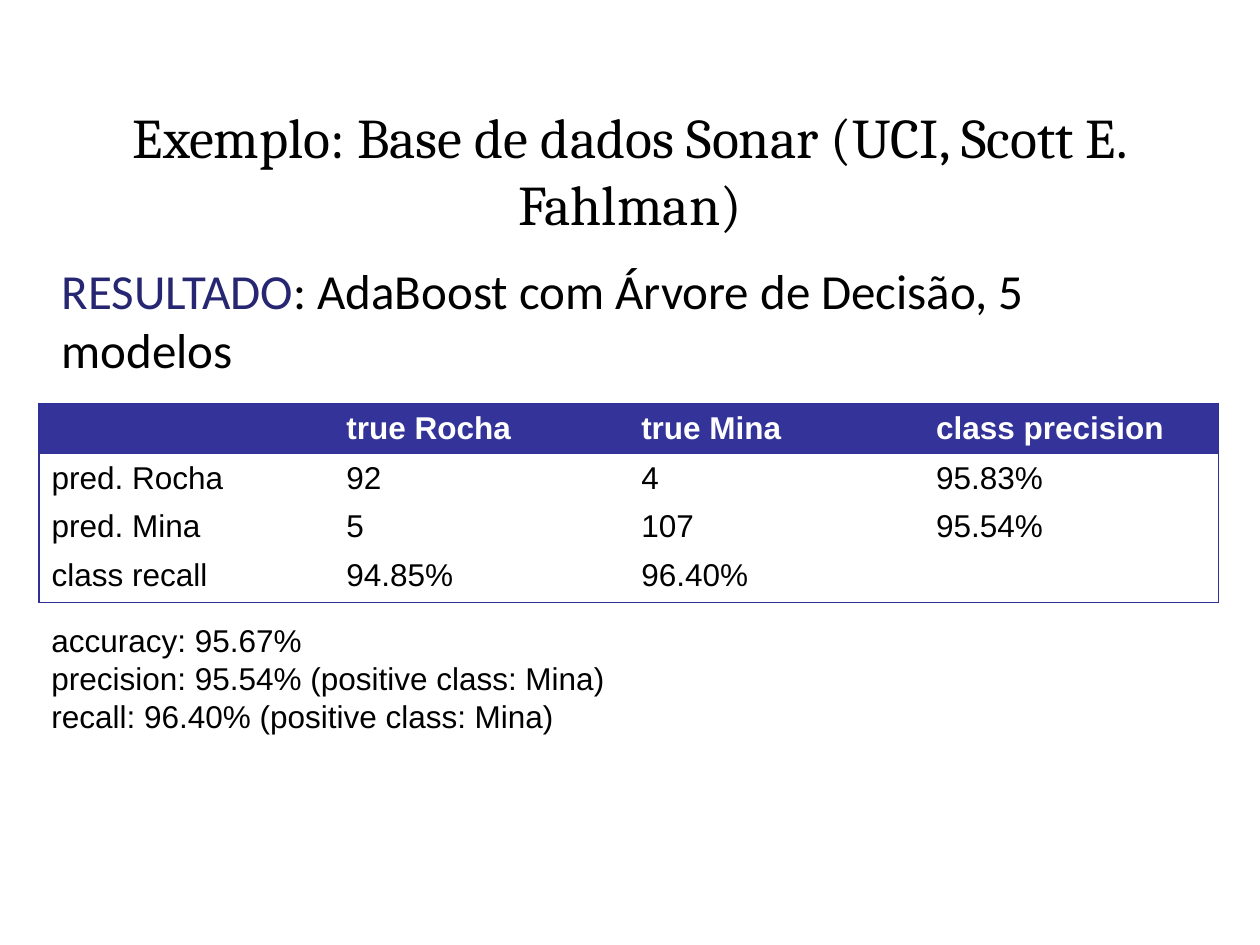
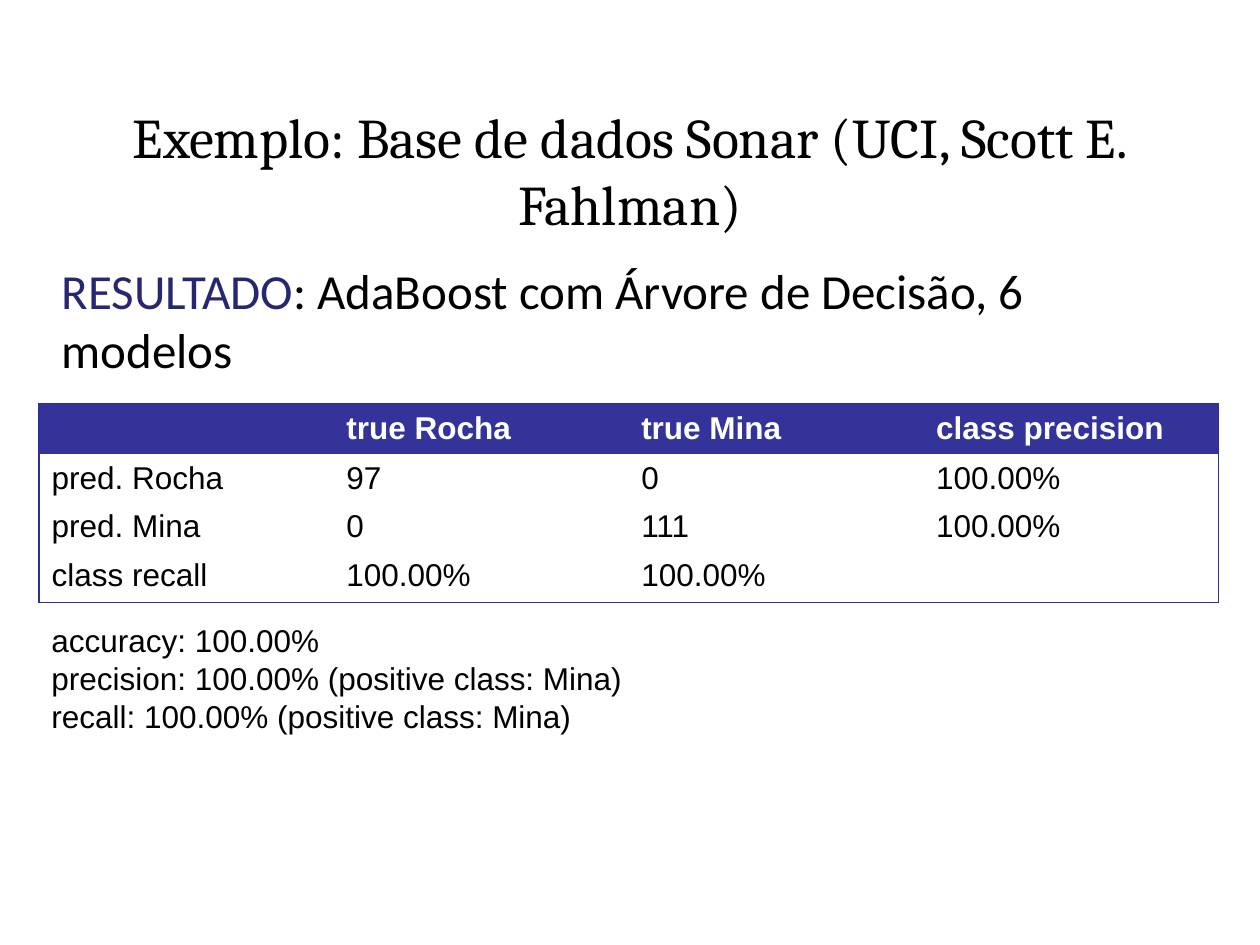
from dataclasses import dataclass
from lxml import etree
from pptx import Presentation
from pptx.dml.color import RGBColor
from pptx.enum.text import MSO_ANCHOR, MSO_AUTO_SIZE, PP_ALIGN
from pptx.oxml.ns import qn
from pptx.util import Inches, Pt

MIDDLE, TOP = MSO_ANCHOR.MIDDLE, MSO_ANCHOR.TOP
FIXED, GROW = MSO_AUTO_SIZE.NONE, MSO_AUTO_SIZE.SHAPE_TO_FIT_TEXT
CENTER, LEFT = PP_ALIGN.CENTER, PP_ALIGN.LEFT
PLAIN_TABLE = "{2D5ABB26-0587-4C30-8999-92F81FD0307C}"


@dataclass(frozen=True)
class Theme:
    ink: str = "000000"
    paper: str = "FFFFFF"
    accent: str = "262673"
    header: str = "333399"
    border: str = "2F2F98"
    title_font: str = "Cambria"
    body_font: str = "Calibri"
    data_font: str = "Arial"
    title_size: int = 32
    body_size: int = 28
    data_size: int = 18
    border_width: float = 0.75


theme = Theme()


def style_font(font, name, size, color, bold=False):
    font.name, font.size, font.bold = name, Pt(size), bold
    font.color.rgb = RGBColor.from_string(color)


def add_border(cell, tag):
    line = etree.SubElement(cell._tc.get_or_add_tcPr(), qn(tag), w=str(Pt(theme.border_width)))
    fill = etree.SubElement(line, qn("a:solidFill"))
    etree.SubElement(fill, qn("a:srgbClr"), val=theme.border)


deck = Presentation()
deck.slide_width, deck.slide_height = Inches(10), Inches(7.5)
title_only = deck.slide_layouts[5]

column_width = Inches(2.34)
row_heights = [Inches(height) for height in (0.4, 0.4, 0.36, 0.42)]
table_left, table_top = Inches(0.31), Inches(3.2)
headings = ["", "true Rocha", "true Mina", "class precision"]

results = [
    {
        "models": 5,
        "rows": [
            ["pred. Rocha", "92", "4", "95.83%"],
            ["pred. Mina", "5", "107", "95.54%"],
            ["class recall", "94.85%", "96.40%", ""],
        ],
        "accuracy": "95.67%",
        "summary_width": 4.63,
    },
    {
        "models": 6,
        "rows": [
            ["pred. Rocha", "97", "0", "100.00%"],
            ["pred. Mina", "0", "111", "100.00%"],
            ["class recall", "100.00%", "100.00%", ""],
        ],
        "accuracy": "100.00%",
        "summary_width": 4.77,
    },
]

for result in results:
    page = deck.slides.add_slide(title_only)

    title = page.shapes.title
    title.left, title.top = Inches(0.38), Inches(0.75)
    title.width, title.height = Inches(9.24), Inches(1.19)
    frame = title.text_frame
    frame.text = "Exemplo: Base de dados Sonar (UCI, Scott E. Fahlman)"
    frame.word_wrap, frame.auto_size, frame.vertical_anchor = True, FIXED, MIDDLE
    para = frame.paragraphs[0]
    para.alignment = CENTER
    style_font(para.font, theme.title_font, theme.title_size, theme.ink)

    body = page.shapes.add_textbox(Inches(0.39), Inches(2.02), Inches(9.22), Inches(5.2))
    frame = body.text_frame
    frame.word_wrap, frame.auto_size, frame.vertical_anchor = True, FIXED, TOP
    para = frame.paragraphs[0]
    for text, color in (
        ("RESULTADO", theme.accent),
        (f": AdaBoost com Árvore de Decisão, {result['models']} modelos", theme.ink),
    ):
        span = para.add_run()
        span.text = text
        style_font(span.font, theme.body_font, theme.body_size, color)

    rows = [headings] + result["rows"]
    last_row, last_column = len(rows) - 1, len(headings) - 1
    graphic = page.shapes.add_table(
        len(rows), len(headings), table_left, table_top,
        column_width * len(headings), sum(row_heights),
    )
    for style in graphic.element.iter(qn("a:tableStyleId")):
        style.text = PLAIN_TABLE
    table = graphic.table
    table.horz_banding = False
    for column in table.columns:
        column.width = column_width
    for row_index, values in enumerate(rows):
        table.rows[row_index].height = row_heights[row_index]
        is_header = row_index == 0
        for column_index, value in enumerate(values):
            cell = table.cell(row_index, column_index)
            cell.text = value
            cell.vertical_anchor = MIDDLE
            cell.margin_top = cell.margin_bottom = Inches(0.02)
            for tag, on_edge in (
                ("a:lnL", column_index == 0),
                ("a:lnR", column_index == last_column),
                ("a:lnT", is_header),
                ("a:lnB", row_index == last_row),
            ):
                if on_edge:
                    add_border(cell, tag)
            cell.fill.solid()
            cell.fill.fore_color.rgb = RGBColor.from_string(theme.header if is_header else theme.paper)
            style_font(
                cell.text_frame.paragraphs[0].font, theme.data_font, theme.data_size,
                theme.paper if is_header else theme.ink, is_header,
            )

    precision, recall = result["rows"][1][3], result["rows"][2][2]
    summary = page.shapes.add_textbox(
        table_left, Inches(4.88), Inches(result["summary_width"]), Inches(1.01)
    )
    frame = summary.text_frame
    frame.text = "\n".join((
        f"accuracy: {result['accuracy']}",
        f"precision: {precision} (positive class: Mina)",
        f"recall: {recall} (positive class: Mina)",
    ))
    frame.word_wrap, frame.auto_size = False, GROW
    for para in frame.paragraphs:
        para.alignment = LEFT
        style_font(para.font, theme.data_font, theme.data_size, theme.ink)

deck.save("out.pptx")
